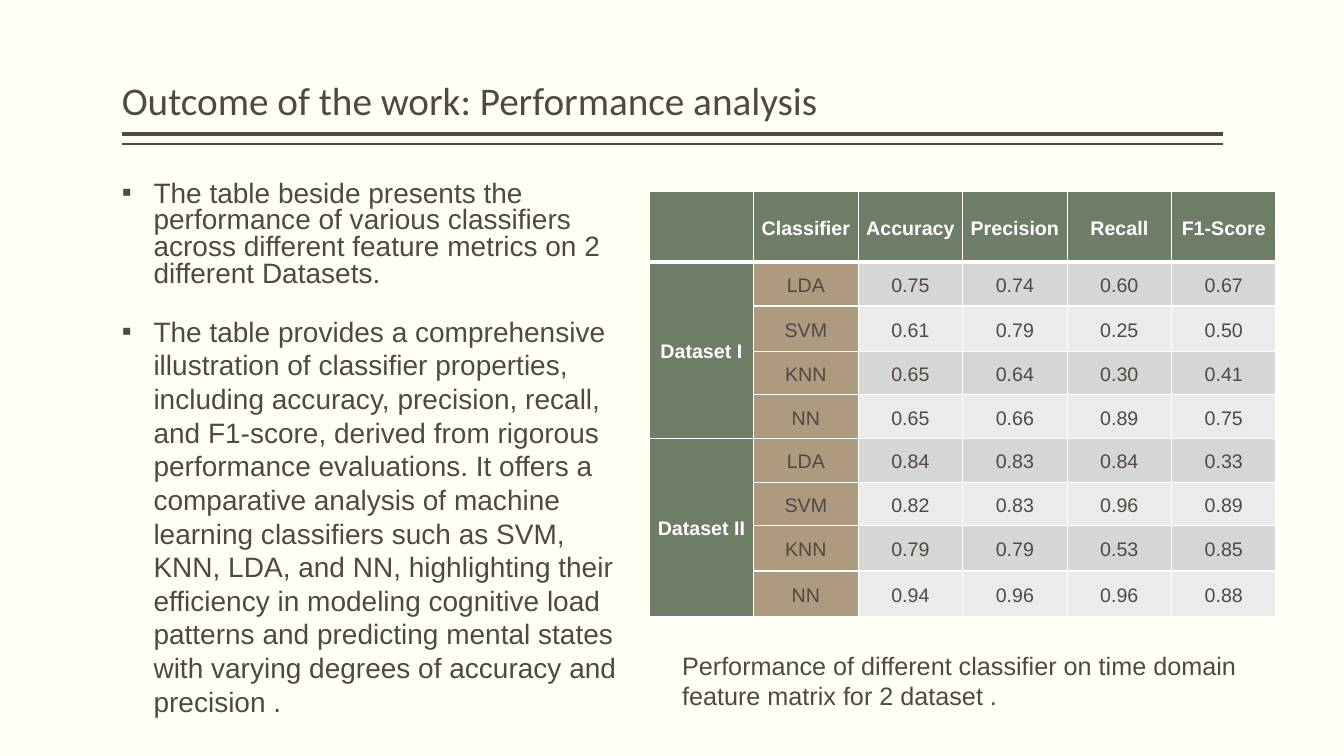
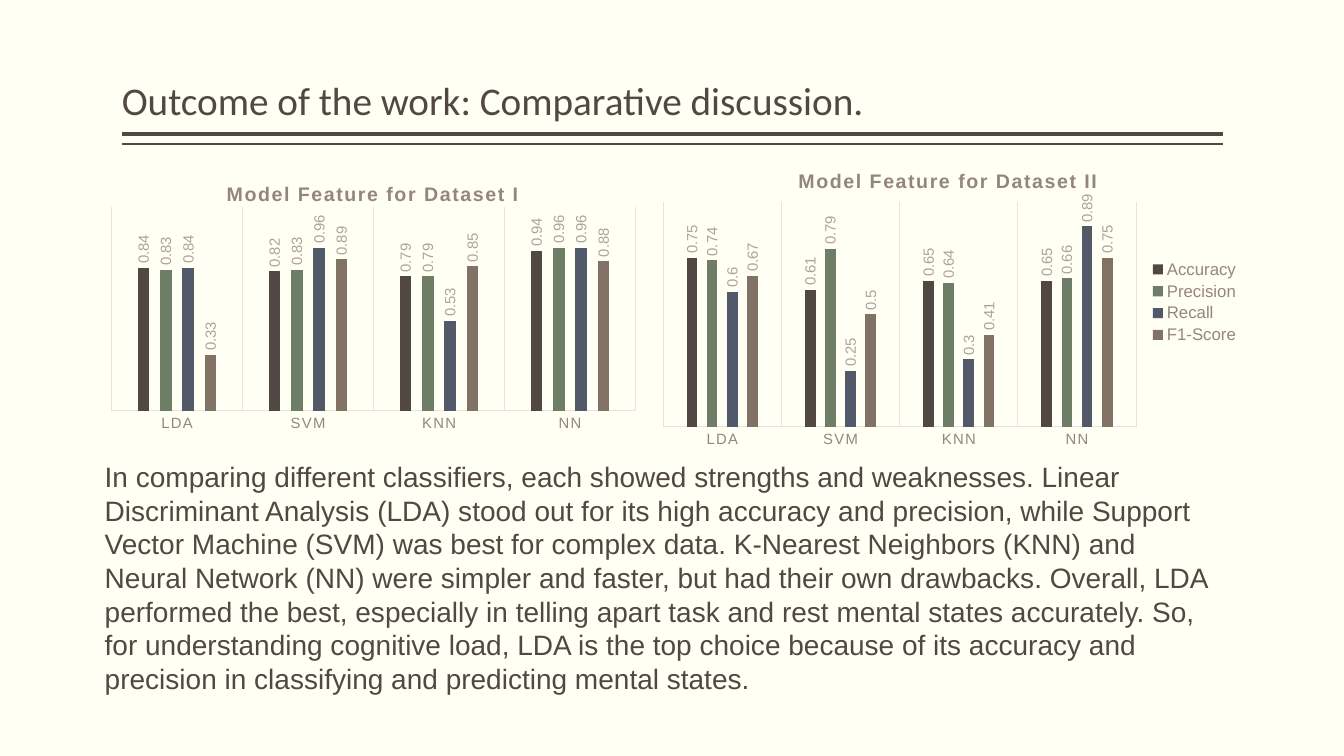
"""Build two slides that report and compare classifier performance."""
from dataclasses import dataclass
from typing import Optional

from lxml import etree
from pptx import Presentation
from pptx.chart.data import CategoryChartData
from pptx.dml.color import RGBColor
from pptx.enum.chart import XL_CHART_TYPE, XL_LABEL_POSITION, XL_LEGEND_POSITION, XL_TICK_MARK
from pptx.enum.shapes import MSO_CONNECTOR
from pptx.enum.text import MSO_ANCHOR, MSO_AUTO_SIZE, PP_ALIGN
from pptx.oxml.ns import qn
from pptx.util import Cm, Pt

COLUMN = XL_CHART_TYPE.COLUMN_CLUSTERED
OUTSIDE_END = XL_LABEL_POSITION.OUTSIDE_END
LEGEND_RIGHT = XL_LEGEND_POSITION.RIGHT
NO_TICK = XL_TICK_MARK.NONE
STRAIGHT = MSO_CONNECTOR.STRAIGHT
BOTTOM, MIDDLE = MSO_ANCHOR.BOTTOM, MSO_ANCHOR.MIDDLE
NO_AUTOFIT = MSO_AUTO_SIZE.NONE
LEFT, CENTER = PP_ALIGN.LEFT, PP_ALIGN.CENTER


@dataclass(frozen=True)
class Theme:
    """Colours, fonts and type sizes of the deck."""
    paper: str = "FFFFF3"
    ink: str = "514843"
    white: str = "FFFFFF"
    green: str = "6D7D66"
    tan: str = "AE9A7E"
    bands: tuple[str, str] = ("D4D7D3", "EBECEA")
    series: tuple[str, ...] = ("514843", "6D7D66", "525A6A", "827266")
    axis_text: str = "94867E"
    label_text: str = "ADA29C"
    grid: str = "E6E3E1"
    heading: str = "Calibri"
    body: str = "Arial"
    title_size: float = 28
    body_size: float = 20
    caption_size: float = 18
    table_size: float = 14
    legend_size: float = 12
    axis_size: float = 10.6


@dataclass(frozen=True)
class Box:
    """Position and size in centimetres."""
    left: float
    top: float
    width: float
    height: float

    def emu(self) -> tuple[Cm, Cm, Cm, Cm]:
        """Return the four lengths in slide units."""
        return Cm(self.left), Cm(self.top), Cm(self.width), Cm(self.height)


@dataclass(frozen=True)
class Para:
    """One paragraph of running text."""
    text: str
    bullet: bool = False
    spacing: Optional[float] = None


@dataclass(frozen=True)
class ChartPanel:
    """A column chart, with plot and title places as fractions of its box."""
    title: str
    box: Box
    scores: dict[str, tuple[float, ...]]
    top_value: float
    plot: tuple[float, ...]
    title_at: tuple[float, ...]
    legend: bool = False


THEME = Theme()
METRICS = ("Accuracy", "Precision", "Recall", "F1-Score")
SCORES_ONE = {
    "LDA": (0.75, 0.74, 0.60, 0.67),
    "SVM": (0.61, 0.79, 0.25, 0.50),
    "KNN": (0.65, 0.64, 0.30, 0.41),
    "NN": (0.65, 0.66, 0.89, 0.75),
}
SCORES_TWO = {
    "LDA": (0.84, 0.83, 0.84, 0.33),
    "SVM": (0.82, 0.83, 0.96, 0.89),
    "KNN": (0.79, 0.79, 0.53, 0.85),
    "NN": (0.94, 0.96, 0.96, 0.88),
}
DATASETS = {"Dataset I": SCORES_ONE, "Dataset II": SCORES_TWO}
ROW_HEIGHTS = (1.78, 1.1, 1.14, 1.1, 1.1, 1.1, 1.1, 1.14, 1.14)
TITLE_BOX = Box(3.07, 0.2, 27.74, 3.05)
RULES = ((3.38, 3), (3.63, 1))
FINDINGS = (
    Para("The table beside presents the performance of various classifiers across different "
         "feature metrics on 2 different Datasets.", True, 0.8),
    Para("The table provides a comprehensive illustration of classifier properties, including "
         "accuracy, precision, recall, and F1-score, derived from rigorous performance "
         "evaluations. It offers a comparative analysis of machine learning classifiers such as "
         "SVM, KNN, LDA, and NN, highlighting their efficiency in modeling cognitive load "
         "patterns and predicting mental states with varying degrees of accuracy and "
         "precision .", True),
)
CAPTION = Para("Performance of different classifier on time domain feature matrix for 2 dataset .")
DISCUSSION = Para(
    "In comparing different classifiers, each showed strengths and weaknesses. Linear "
    "Discriminant Analysis (LDA) stood out for its high accuracy and precision, while Support "
    "Vector Machine (SVM) was best for complex data. K-Nearest Neighbors (KNN) and Neural "
    "Network (NN) were simpler and faster, but had their own drawbacks. Overall, LDA performed "
    "the best, especially in telling apart task and rest mental states accurately. So, for "
    "understanding cognitive load, LDA is the top choice because of its accuracy and precision "
    "in classifying and predicting mental states.")
PANELS = (
    ChartPanel("Model Feature for Dataset II", Box(16.41, 3.78, 15.09, 7.67), SCORES_ONE, 1.0,
               (0.02, 0.17, 0.79, 0.74), (0.24, 0.05), True),
    ChartPanel("Model Feature for Dataset I", Box(2.39, 4.11, 14.05, 7.34), SCORES_TWO, 1.2,
               (0.03, 0.15, 0.94, 0.7), (0.23, 0.05)),
)


def rgb(value: str) -> RGBColor:
    """Turn a hex string into a colour."""
    return RGBColor.from_string(value)


def style_font(font, size: float, color: str, name: str = THEME.body, bold: bool = False) -> None:
    """Set size, colour, face and weight of a font."""
    font.size, font.name, font.bold = Pt(size), name, bold
    font.color.rgb = rgb(color)


def add_text(s, box: Box, paras: tuple[Para, ...], size: float, inset: float = 0.25) -> None:
    """Add a wrapping text box, with bullets where asked."""
    tf = s.shapes.add_textbox(*box.emu()).text_frame
    tf.word_wrap = True
    tf.margin_left = tf.margin_right = Cm(inset)
    for i, para in enumerate(paras):
        p = tf.paragraphs[0] if i == 0 else tf.add_paragraph()
        if para.spacing:
            p.line_spacing = para.spacing
        if para.bullet:
            p.space_before = Pt(18)
            pPr = p._p.get_or_add_pPr()
            pPr.set("marL", str(Cm(0.8)))
            pPr.set("indent", str(-Cm(0.8)))
            etree.SubElement(pPr, qn("a:buFont")).set("typeface", THEME.body)
            etree.SubElement(pPr, qn("a:buChar")).set("char", "▪")
        r = p.add_run()
        r.text = para.text
        style_font(r.font, size, THEME.ink)


def add_titled_slide(prs, title: str):
    """Add a slide with its title and the double rule below."""
    s = prs.slides.add_slide(prs.slide_layouts[5])
    sp = s.shapes.title
    sp.left, sp.top, sp.width, sp.height = TITLE_BOX.emu()
    tf = sp.text_frame
    tf.auto_size, tf.vertical_anchor, tf.word_wrap = NO_AUTOFIT, BOTTOM, True
    tf.margin_left = tf.margin_right = 0
    p = tf.paragraphs[0]
    p.alignment, p.line_spacing = LEFT, 0.9
    r = p.add_run()
    r.text = title
    style_font(r.font, THEME.title_size, THEME.ink, THEME.heading)
    for y, weight in RULES:
        right = TITLE_BOX.left + TITLE_BOX.width
        rule = s.shapes.add_connector(STRAIGHT, Cm(TITLE_BOX.left), Cm(y), Cm(right), Cm(y))
        rule.line.color.rgb, rule.line.width = rgb(THEME.ink), Pt(weight)
        etree.SubElement(rule._element.spPr, qn("a:effectLst"))
    return s


def set_borders(cell, top: float, bottom: float) -> None:
    """Draw white borders round a cell."""
    tcPr = cell._tc.get_or_add_tcPr()
    for i, (side, weight) in enumerate((("L", 1), ("R", 1), ("T", top), ("B", bottom))):
        ln = etree.Element(qn(f"a:ln{side}"), w=str(Pt(weight)))
        fill = etree.SubElement(ln, qn("a:solidFill"))
        etree.SubElement(fill, qn("a:srgbClr")).set("val", THEME.white)
        tcPr.insert(i, ln)


def fill_cell(cell, text: str, row: int, col: int) -> None:
    """Write and colour one table cell according to its place."""
    head = row == 0 or col == 0
    color = THEME.green if head else THEME.tan if col == 1 else THEME.bands[(row - 1) % 2]
    cell.fill.solid()
    cell.fill.fore_color.rgb = rgb(color)
    set_borders(cell, 3 if row == 1 else 1, 3 if row == 0 else 1)
    cell.margin_left = cell.margin_right = Cm(0.15)
    cell.margin_top = cell.margin_bottom = 0
    cell.vertical_anchor = MIDDLE
    if text:
        p = cell.text_frame.paragraphs[0]
        p.alignment, p.line_spacing, p.space_after = CENTER, 1.15, Pt(10)
        r = p.add_run()
        r.text = text
        style_font(r.font, THEME.table_size, THEME.white if head else THEME.ink, bold=head)


def add_score_table(s, box: Box) -> None:
    """Add the table of scores, grouped by dataset."""
    rows = [("", "Classifier", *METRICS)]
    for name, scores in DATASETS.items():
        for i, (classifier, values) in enumerate(scores.items()):
            rows.append((name if i == 0 else "", classifier, *(f"{v:.2f}" for v in values)))
    table = s.shapes.add_table(len(rows), len(rows[0]), *box.emu()).table
    table.first_row = table.horz_banding = False
    for row, height in zip(table.rows, ROW_HEIGHTS):
        row.height = Cm(height)
    for i, texts in enumerate(rows):
        for j, text in enumerate(texts):
            fill_cell(table.cell(i, j), text, i, j)
    span = len(SCORES_ONE)
    for start in range(1, len(rows), span):
        table.cell(start, 0).merge(table.cell(start + span - 1, 0))


def set_layout(parent, index: int, place: tuple[float, ...]) -> None:
    """Place a chart part by fractions x, y and, if given, width and height."""
    for old in parent.findall(qn("c:layout")):
        parent.remove(old)
    layout = etree.Element(qn("c:layout"))
    manual = etree.SubElement(layout, qn("c:manualLayout"))
    items = [("xMode", "edge"), ("yMode", "edge"), *zip("xywh", place)]
    if len(place) == 4:
        items.insert(0, ("layoutTarget", "inner"))
    for tag, value in items:
        etree.SubElement(manual, qn(f"c:{tag}")).set("val", str(value))
    parent.insert(index, layout)


def add_score_chart(s, panel: ChartPanel) -> None:
    """Add one column chart of scores by classifier."""
    data = CategoryChartData()
    data.categories = list(panel.scores)
    for metric, values in zip(METRICS, zip(*panel.scores.values())):
        data.add_series(metric, values)
    chart = s.shapes.add_chart(COLUMN, *panel.box.emu(), data).chart
    style_font(chart.font, 10, THEME.ink)
    chart.has_title = True
    r = chart.chart_title.text_frame.paragraphs[0].add_run()
    r.text = panel.title
    style_font(r.font, THEME.table_size, THEME.axis_text, bold=True)
    chart.has_legend = panel.legend
    if panel.legend:
        chart.legend.position, chart.legend.include_in_layout = LEGEND_RIGHT, False
        style_font(chart.legend.font, THEME.legend_size, THEME.axis_text)
    axis = chart.category_axis
    axis.major_tick_mark = NO_TICK
    style_font(axis.tick_labels.font, THEME.axis_size, THEME.axis_text)
    axis.has_major_gridlines = True
    for line in (axis.format.line, axis.major_gridlines.format.line):
        line.color.rgb, line.width = rgb(THEME.grid), Pt(0.75)
    scale = chart.value_axis
    scale.has_major_gridlines = scale.visible = False
    scale.minimum_scale, scale.maximum_scale = 0, panel.top_value
    plot = chart.plots[0]
    plot.gap_width, plot.overlap, plot.vary_by_categories = 444, -90, False
    for series, color in zip(plot.series, THEME.series):
        series.format.fill.solid()
        series.format.fill.fore_color.rgb = rgb(color)
        labels = series.data_labels
        labels.show_value, labels.position = True, OUTSIDE_END
        style_font(labels.font, THEME.axis_size, THEME.label_text)
    root = chart._chartSpace
    for body in root.xpath(".//c:dLbls/c:txPr/a:bodyPr"):
        body.set("rot", "-5400000")
        body.set("vert", "horz")
    for spaced in root.xpath(".//c:title//a:rPr | .//c:catAx/c:txPr//a:defRPr"):
        spaced.set("spc", "100")
    set_layout(root.xpath("c:chart/c:title")[0], 1, panel.title_at)
    set_layout(root.xpath("c:chart/c:plotArea")[0], 0, panel.plot)


def main() -> None:
    """Build and save the deck."""
    prs = Presentation()
    prs.slide_width, prs.slide_height = Cm(33.87), Cm(19.05)
    fill = prs.slide_master.background.fill
    fill.solid()
    fill.fore_color.rgb = rgb(THEME.paper)

    s = add_titled_slide(prs, "Outcome of the work: Performance analysis")
    add_text(s, Box(3.07, 4.45, 12.95, 13.79), FINDINGS, THEME.body_size, 0)
    add_score_table(s, Box(16.36, 4.83, 15.8, 10.7))
    add_text(s, Box(16.94, 16.26, 14.99, 1.8), (CAPTION,), THEME.caption_size)

    s = add_titled_slide(prs, "Outcome of the work: Comparative discussion.")
    for panel in PANELS:
        add_score_chart(s, panel)
    add_text(s, Box(2.39, 11.46, 28.42, 6.25), (DISCUSSION,), THEME.body_size)
    prs.save("out.pptx")


if __name__ == "__main__":
    main()
